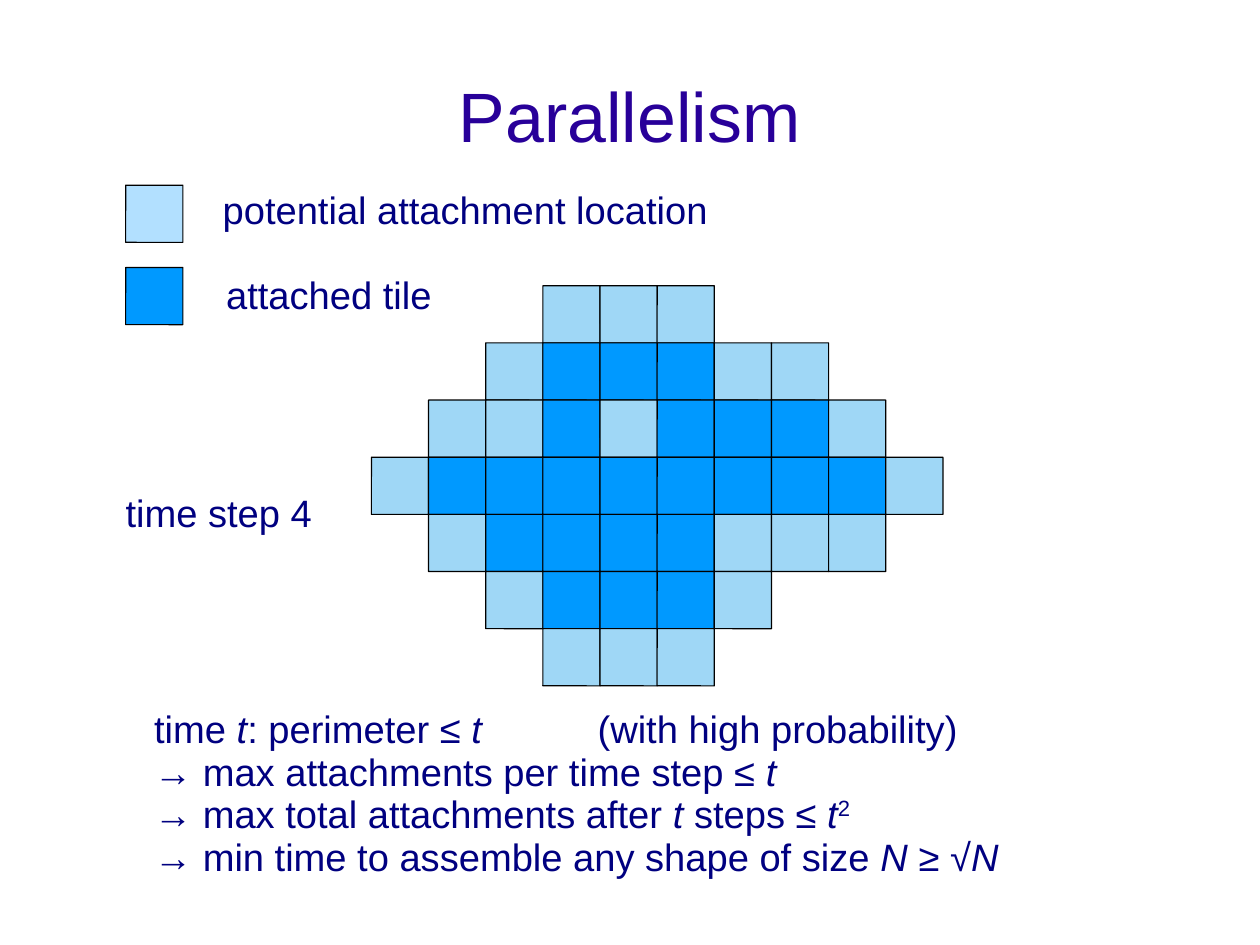
from lxml import etree
from pptx import Presentation
from pptx.dml.color import RGBColor
from pptx.enum.shapes import MSO_SHAPE
from pptx.enum.text import MSO_ANCHOR, MSO_AUTO_SIZE, PP_ALIGN
from pptx.oxml.ns import qn
from pptx.util import Inches, Pt

ROUND = MSO_SHAPE.ROUNDED_RECTANGLE
TOP, MIDDLE = MSO_ANCHOR.TOP, MSO_ANCHOR.MIDDLE
LEFT, CENTER = PP_ALIGN.LEFT, PP_ALIGN.CENTER
FIXED = MSO_AUTO_SIZE.NONE

# a 28 by 21 cm page, in inches
WIDTH, HEIGHT = 28 / 2.54, 21 / 2.54
COLORS = {"title": "280099", "text": "000080", "line": "000000",
          "tile": "0099FF", "open": "9FD7F6"}
FONT = "Arial"
TITLE = "Parallelism"
# o: potential location, x: attached tile
GRID = ["...ooo....",
        "..oxxxoo..",
        ".ooxoxxxo.",
        "oxxxxxxxxo",
        ".oxxxxooo.",
        "..oxxxo...",
        "...ooo...."]
KINDS = {"o": "open", "x": "tile"}
SIDE, GRID_X, GRID_Y = 0.5, 3.25, 2.5
# top of the key tile, opacity in percent
KEYS = [(1.62, 30), (2.34, 100)]
KEY_X = 1.1
CLAIM_TAB = 3.88
# each run is (text, style): "i" italic, "s" superscript
CLAIMS = [
    [("time ", ""), ("t", "i"), (": perimeter ≤ ", ""), ("t", "i"),
     ("\t(with high probability)", "")],
    [("→ max attachments per time step ≤ ", ""), ("t", "i")],
    [("→ max total attachments after ", ""), ("t", "i"),
     (" steps ≤ ", ""), ("t", "i"), ("2", "s")],
    [("→ min time to assemble any shape of size ", ""), ("N ", "i"),
     ("≥ √", ""), ("N", "i")],
]
# left, top, width, height, then the lines
NOTES = [
    ((1.85, 1.6, 5.12, 0.47), [[("potential attachment location", "")]]),
    ((1.88, 2.34, 3.75, 0.47), [[("attached tile", "")]]),
    ((1, 4.25, 2, 0.47), [[("time step 4", "")]]),
    ((1.25, 6.14, 9.25, 1.6), CLAIMS),
]


def rgb(key):
    return RGBColor.from_string(COLORS[key])


def set_frame(frame, pads, anchor=TOP):
    frame.word_wrap = True
    frame.auto_size = FIXED
    frame.vertical_anchor = anchor
    (frame.margin_left, frame.margin_top,
     frame.margin_right, frame.margin_bottom) = map(Inches, pads)


def style(para, size=24, color="text", align=LEFT):
    para.alignment = align
    para.line_spacing = 0.93
    para.font.name = FONT
    para.font.size = Pt(size)
    para.font.color.rgb = rgb(color)


def add_title(slide):
    title = slide.shapes.title
    title.left, title.top, title.width, title.height = map(
        Inches, (0.55, 0.33, 9.92, 1.38))
    set_frame(title.text_frame, (0, 0.04, 0, 0), MIDDLE)
    para = title.text_frame.paragraphs[0]
    para.text = TITLE
    style(para, 44, "title", CENTER)


def add_tile(slide, x, y, color, alpha=100):
    tile = slide.shapes.add_shape(ROUND, *map(Inches, (x, y, SIDE, SIDE)))
    tile.adjustments[0] = 0.003
    tile.rotation = 270
    tile.shadow.inherit = False
    tile.fill.solid()
    tile.fill.fore_color.rgb = rgb(color)
    tile.line.color.rgb = rgb("line")
    tile.line.width = Pt(0.75)
    if alpha < 100:
        tone = tile.fill._xPr.find(qn("a:solidFill"))[0]
        etree.SubElement(tone, qn("a:alpha"), val=str(alpha * 1000))


def set_tab(para, pos):
    props = para._p.get_or_add_pPr()
    tabs = etree.SubElement(props, qn("a:tabLst"))
    etree.SubElement(tabs, qn("a:tab"), pos=str(Inches(pos)), algn="l")


def add_note(slide, box, lines):
    frame = slide.shapes.add_textbox(*map(Inches, box)).text_frame
    set_frame(frame, (0.1, 0.07, 0.1, 0.05))
    for i, runs in enumerate(lines):
        para = frame.add_paragraph() if i else frame.paragraphs[0]
        if any("\t" in text for text, _ in runs):
            set_tab(para, CLAIM_TAB)
        style(para)
        for text, mark in runs:
            run = para.add_run()
            run.text = text
            if mark == "i":
                run.font.italic = True
            elif mark == "s":
                run._r.get_or_add_rPr().set("baseline", "33000")


def main():
    deck = Presentation()
    deck.slide_width, deck.slide_height = Inches(WIDTH), Inches(HEIGHT)
    slide = deck.slides.add_slide(deck.slide_layouts[5])
    add_title(slide)
    for row, line in enumerate(GRID):
        for col, mark in enumerate(line):
            if mark in KINDS:
                add_tile(slide, GRID_X + col * SIDE, GRID_Y + row * SIDE,
                         KINDS[mark])
    for y, alpha in KEYS:
        add_tile(slide, KEY_X, y, "tile", alpha)
    for box, lines in NOTES:
        add_note(slide, box, lines)
    deck.save("out.pptx")


if __name__ == "__main__":
    main()
